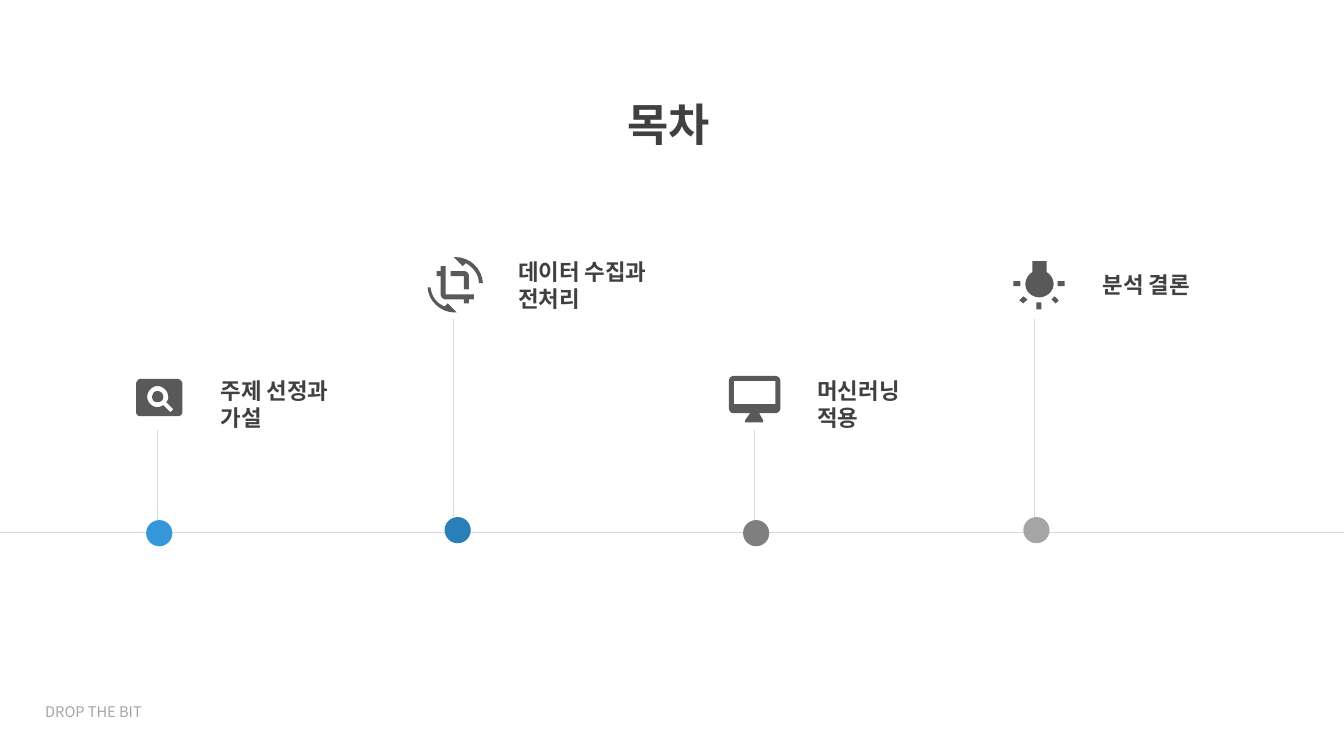
from lxml import etree
from pptx import Presentation
from pptx.dml.color import RGBColor
from pptx.enum import shapes, text
from pptx.oxml.ns import qn
from pptx.util import Inches, Pt

FONT = "Noto Sans CJK KR"
DARK, RULE, ICON = "404040", "D9D9D9", "585958"
DOT = 0.26
CURVE_STEPS = 8


def paint(fill, color):
    fill.solid()
    fill.fore_color.rgb = RGBColor.from_string(color)


def add_text(box, paragraphs, size, color, bold=False, align=None):
    """Each paragraph is a list of lines, parted by line breaks."""
    tf = s.shapes.add_textbox(*map(Inches, box)).text_frame
    tf.word_wrap = True
    tf.auto_size = text.MSO_AUTO_SIZE.SHAPE_TO_FIT_TEXT
    for i, lines in enumerate(paragraphs):
        p = tf.add_paragraph() if i else tf.paragraphs[0]
        p.alignment = align
        for j, line in enumerate(lines):
            if j:
                p.add_line_break()
            r = p.add_run()
            r.text = line
            r.font.size, r.font.bold, r.font.name = Pt(size), bold, FONT
            paint(r.font.fill, color)
            etree.SubElement(r._r.get_or_add_rPr(), qn("a:ea"), typeface=FONT)


prs = Presentation()
prs.slide_width, prs.slide_height = Inches(13.33), Inches(7.5)
s = prs.slides.add_slide(prs.slide_layouts[6])

add_text((4.92, 0.91, 3.42, 0.64), [["목차"]], 32, DARK, True, text.PP_ALIGN.CENTER)
add_text((0.35, 6.92, 1.59, 0.28), [["DROP THE BIT"]], 10.5, "A6A6A6")

# Timeline: the axis, then one stem for each milestone
axis = (0, 5.28, 13.33, 5.28)
stems = [(1.56, 5.16, 1.56, 4.27), (4.5, 5.13, 4.5, 3.16),
         (7.48, 5.16, 7.48, 4.27), (10.26, 5.13, 10.26, 3.16)]
for ends in [axis] + stems:
    line = s.shapes.add_connector(shapes.MSO_CONNECTOR.STRAIGHT, *map(Inches, ends))
    paint(line.line.fill, RULE)
    line.line.width = Pt(0.5)
    etree.SubElement(line._element.spPr, qn("a:effectLst"))

dots = [(1.45, 5.16, "3397DA"), (4.41, 5.13, "297FB8"),
        (7.37, 5.16, "7E7F7E"), (10.15, 5.13, "A5A5A5")]
for left, top, color in dots:
    dot = s.shapes.add_shape(shapes.MSO_SHAPE.OVAL, Inches(left), Inches(top),
                             Inches(DOT), Inches(DOT))
    dot.shadow.inherit = False
    paint(dot.fill, color)
    dot.line.fill.background()

labels = [
    ((2.09, 3.69, 1.97, 0.64), [["주제 선정과"], ["가설"]]),
    ((5.04, 2.51, 1.97, 0.64), [["데이터 수집과", "전처리"]]),
    ((8.01, 3.69, 1.97, 0.64), [["머신러닝", "적용"]]),
    ((10.84, 2.64, 2.2, 0.37), [["분석 결론"]]),
]
for box, paragraphs in labels:
    add_text(box, paragraphs, 16, DARK, True)

# Icon outlines in inches: the first point of a contour, then lines (2 numbers)
# or Bezier curves (6 numbers)
search_icon = [
    "1.69 4.09, 1.72 4.06, 1.65 3.99, 1.66 3.98 1.67 3.96 1.67 3.94,"
    "1.67 3.88 1.62 3.83 1.56 3.83, 1.51 3.83 1.46 3.88 1.46 3.94,"
    "1.46 3.99 1.51 4.04 1.56 4.04, 1.59 4.04 1.6 4.03 1.62 4.02",
    "1.76 3.76, 1.79 3.76 1.81 3.79 1.81 3.81, 1.81 4.09,"
    "1.81 4.11 1.79 4.13 1.76 4.13, 1.39 4.13, 1.37 4.13 1.35 4.11 1.35 4.09,"
    "1.35 3.81, 1.35 3.79 1.37 3.76 1.39 3.76",
    "1.56 3.88, 1.6 3.88 1.62 3.91 1.62 3.94, 1.62 3.97 1.6 3.99 1.56 3.99,"
    "1.53 3.99 1.51 3.97 1.51 3.94, 1.51 3.91 1.53 3.88 1.56 3.88",
]
crop_icon = [
    "4.7 2.92, 4.7 2.97, 4.65 2.97, 4.65 3.01, 4.6 3.01, 4.6 2.97, 4.42 2.97,"
    "4.39 2.97 4.37 2.94 4.37 2.92, 4.37 2.74, 4.33 2.74, 4.33 2.69, 4.37 2.69,"
    "4.37 2.64, 4.42 2.64, 4.42 2.92",
    "4.6 2.87, 4.6 2.74, 4.47 2.74, 4.47 2.69, 4.6 2.69,"
    "4.63 2.69 4.65 2.71 4.65 2.74, 4.65 2.87",
    "4.51 2.55, 4.66 2.55 4.78 2.66 4.79 2.81, 4.75 2.81,"
    "4.75 2.72 4.69 2.65 4.62 2.61, 4.59 2.64, 4.5 2.55",
    "4.41 3.04, 4.44 3.01, 4.53 3.1, 4.52 3.1 4.52 3.1 4.51 3.1,"
    "4.37 3.1 4.25 2.99 4.24 2.85, 4.27 2.85, 4.28 2.94 4.33 3.01 4.41 3.04",
]
monitor_icon = [
    "7.69 4.01, 7.69 3.78, 7.28 3.78, 7.28 4.01",
    "7.69 3.73, 7.71 3.73 7.74 3.75 7.74 3.78, 7.74 4.05,"
    "7.74 4.08 7.71 4.1 7.69 4.1, 7.53 4.1, 7.57 4.17, 7.57 4.19, 7.39 4.19,"
    "7.39 4.17, 7.44 4.1, 7.28 4.1, 7.25 4.1 7.23 4.08 7.23 4.05, 7.23 3.78,"
    "7.23 3.75 7.25 3.73 7.28 3.73",
]
lamp_icon = [
    "10.43 2.97, 10.46 2.94, 10.5 2.98, 10.47 3.01",
    "10.49 2.79, 10.56 2.79, 10.56 2.84, 10.49 2.84",
    "10.38 2.7, 10.42 2.72 10.45 2.77 10.45 2.82, 10.45 2.89 10.38 2.95 10.31 2.95,"
    "10.23 2.95 10.17 2.89 10.17 2.82, 10.17 2.77 10.2 2.72 10.24 2.7,"
    "10.24 2.59, 10.38 2.59",
    "10.12 2.79, 10.12 2.84, 10.05 2.84, 10.05 2.79",
    "10.28 3.07, 10.28 3, 10.33 3, 10.33 3.07",
    "10.11 2.98, 10.15 2.94, 10.19 2.97, 10.15 3.01",
]
for icon in (search_icon, crop_icon, monitor_icon, lamp_icon):
    builder = None
    for contour in icon:
        points = []
        for segment in contour.split(","):
            n = [Inches(float(v)) for v in segment.split()]
            if len(n) == 2:
                points.append(tuple(n))
                continue
            x0, y0 = points[-1]
            x1, y1, x2, y2, x3, y3 = n
            for k in range(1, CURVE_STEPS + 1):
                t = k / CURVE_STEPS
                a, b, c, d = (1 - t) ** 3, 3 * t * (1 - t) ** 2, 3 * t * t * (1 - t), t ** 3
                points.append((a * x0 + b * x1 + c * x2 + d * x3,
                               a * y0 + b * y1 + c * y2 + d * y3))
        if builder is None:
            builder = s.shapes.build_freeform(*points[0])
        else:
            builder.move_to(*points[0])
        builder.add_line_segments(points[1:], close=True)
    sp = builder.convert_to_shape()
    sp.shadow.inherit = False
    paint(sp.fill, ICON)
    sp.line.fill.background()

prs.save("out.pptx")
